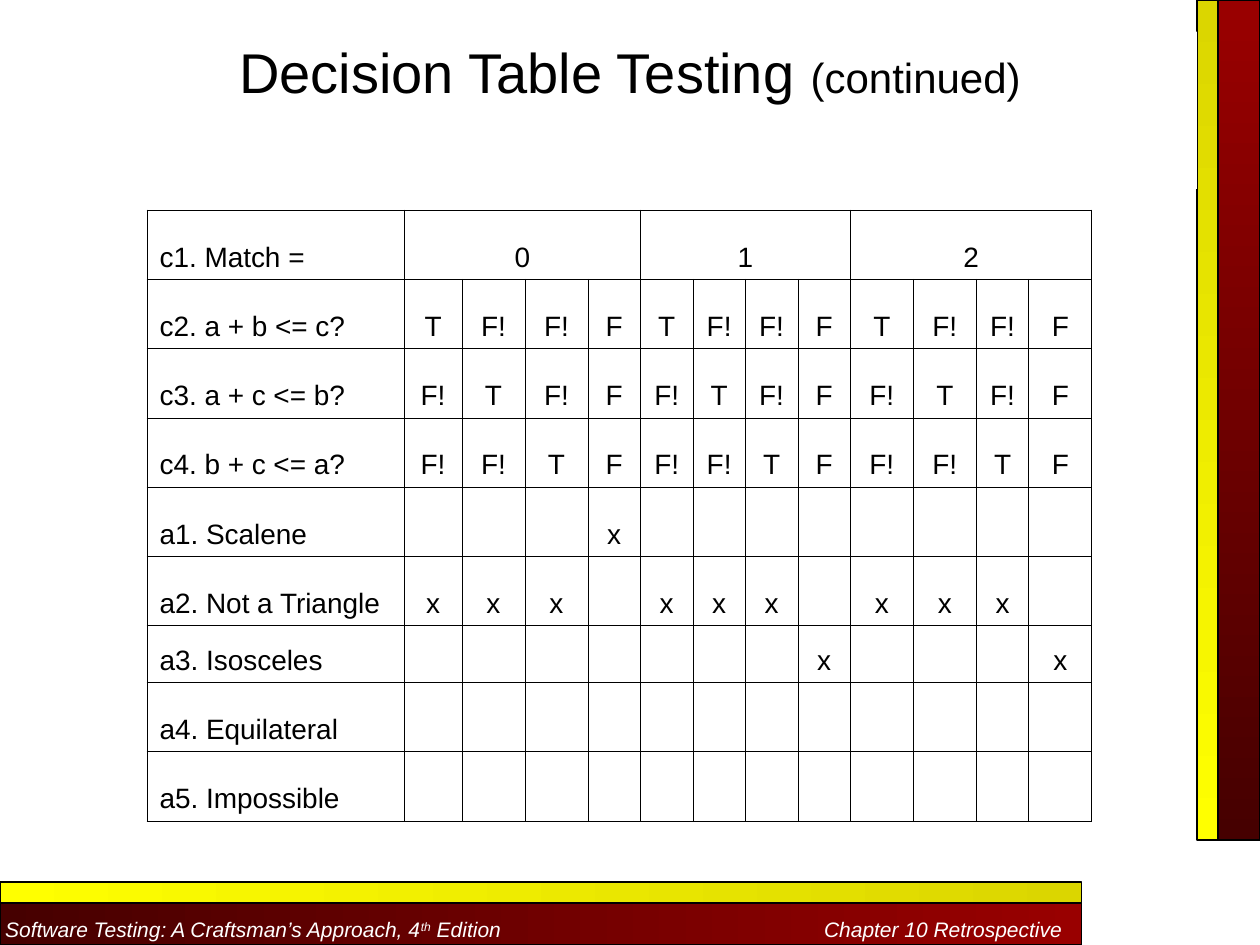
import pptx
import pptx.util
import pptx.dml.color
import pptx.enum.shapes
import pptx.enum.text
import pptx.oxml
import pptx.oxml.ns

Pt = pptx.util.Pt
ALIGN = pptx.enum.text.PP_ALIGN
ANCHOR = pptx.enum.text.MSO_ANCHOR

COLORS = {"black": "000000", "white": "FFFFFF", "red": "990000", "dark red": "460000",
          "olive": "DBD600", "yellow": "FFFF00"}
FONT = "Arial"

TITLE = [("Decision Table Testing ", {"size": 32}), ("(continued)", {"size": 24})]
FOOTER = [("Software Testing: A Craftsman’s Approach, 4", {}), ("th", {"raised": True}),
          (" Edition\tChapter 10 Retrospective", {})]

MATCHES = ["0", "1", "2"]
RULES_PER_MATCH = 4
# Row label, then one entry per rule
ROWS = [
    ("c2. a + b <= c?", ["T", "F!", "F!", "F"] * 3),
    ("c3. a + c <= b?", ["F!", "T", "F!", "F"] * 3),
    ("c4. b + c <= a?", ["F!", "F!", "T", "F"] * 3),
    ("a1. Scalene", ["", "", "", "x"] + [""] * 8),
    ("a2. Not a Triangle", ["x", "x", "x", ""] * 3),
    ("a3. Isosceles", [""] * 7 + ["x", "", "", "", "x"]),
    ("a4. Equilateral", [""] * 12),
    ("a5. Impossible", [""] * 12),
]
COLUMN_WIDTHS = [147, 33, 36, 36, 30, 30, 30, 30, 30, 36, 36, 30, 36]
ROW_HEIGHTS = [39.6] * 6 + [32.4] + [39.6] * 2

# Left, top, width, height, gradient colours, gradient angle
SIDE_BAR = (696, 0, 24, 480, ("red", "dark red"), 270)
FOOTER_BAR = (0, 516, 618, 24, ("red", "dark red"), 180)
SIDE_STRIPE = (684, 0, 12, 480, ("olive", "yellow"), 270)
FOOTER_STRIPE = (0, 504, 618, 12, ("olive", "yellow"), 180)


def rgb(name):
    return pptx.dml.color.RGBColor.from_string(COLORS[name])


def write(paragraph, text, size=16, color="black", italic=False, raised=False, align=None):
    run = paragraph.add_run()
    run.text = text
    run.font.name = FONT
    run.font.size = Pt(size)
    run.font.italic = italic
    run.font.color.rgb = rgb(color)
    if raised:
        run._r.get_or_add_rPr().set("baseline", "30000")
    if align is not None:
        paragraph.alignment = align


def add_bar(slide, left, top, width, height, gradient, angle):
    bar = slide.shapes.add_shape(pptx.enum.shapes.MSO_SHAPE.RECTANGLE,
                                 Pt(left), Pt(top), Pt(width), Pt(height))
    bar.shadow.inherit = False
    bar.fill.gradient()
    bar.fill.gradient_angle = angle
    for stop, name in zip(bar.fill.gradient_stops, gradient):
        stop.color.rgb = rgb(name)
    bar.line.color.rgb = rgb("black")
    bar.line.width = Pt(0.75)
    return bar


def write_footer(bar):
    frame = bar.text_frame
    frame.margin_left, frame.margin_right = Pt(3), Pt(0)
    frame.margin_top, frame.margin_bottom = Pt(6), Pt(0)
    frame.vertical_anchor = ANCHOR.MIDDLE
    frame.word_wrap = True
    paragraph = frame.paragraphs[0]
    for text, style in FOOTER:
        write(paragraph, text, size=12, color="white", italic=True, align=ALIGN.LEFT, **style)
    paragraph._p.get_or_add_pPr().append(pptx.oxml.parse_xml(
        f'<a:tabLst {pptx.oxml.ns.nsdecls("a")}>'
        f'<a:tab pos="{Pt(604)}" algn="r"/></a:tabLst>'))


def place_title(title):
    title.left, title.top, title.width, title.height = Pt(36), Pt(18), Pt(648), Pt(90)
    title.fill.solid()
    title.fill.fore_color.rgb = rgb("white")
    frame = title.text_frame
    frame.vertical_anchor = ANCHOR.TOP
    frame.auto_size = pptx.enum.text.MSO_AUTO_SIZE.NONE
    for text, style in TITLE:
        write(frame.paragraphs[0], text, align=ALIGN.CENTER, **style)


def draw_borders(cell):
    properties = cell._tc.get_or_add_tcPr()
    for index, side in enumerate(("lnL", "lnR", "lnT", "lnB")):
        properties.insert(index, pptx.oxml.parse_xml(
            f'<a:{side} {pptx.oxml.ns.nsdecls("a")} w="{Pt(0.45)}"><a:solidFill>'
            f'<a:srgbClr val="{COLORS["black"]}"/></a:solidFill></a:{side}>'))


def add_decision_table(slide):
    match_row = [""] * (len(MATCHES) * RULES_PER_MATCH)
    match_row[::RULES_PER_MATCH] = MATCHES
    rows = [("c1. Match =", match_row)] + ROWS
    table = slide.shapes.add_table(len(rows), len(COLUMN_WIDTHS), Pt(84), Pt(120),
                                   Pt(sum(COLUMN_WIDTHS)), Pt(sum(ROW_HEIGHTS))).table
    table.first_row = table.horz_banding = False
    for column, width in zip(table.columns, COLUMN_WIDTHS):
        column.width = Pt(width)
    for row, height in zip(table.rows, ROW_HEIGHTS):
        row.height = Pt(height)
    for r, (label, entries) in enumerate(rows):
        for c, text in enumerate([label] + entries):
            cell = table.cell(r, c)
            cell.fill.background()
            cell.vertical_anchor = ANCHOR.BOTTOM
            draw_borders(cell)
            if text:
                write(cell.text_frame.paragraphs[0], text,
                      align=ALIGN.CENTER if c else ALIGN.LEFT)
    for first in range(1, len(COLUMN_WIDTHS), RULES_PER_MATCH):
        table.cell(0, first).merge(table.cell(0, first + RULES_PER_MATCH - 1))


def main():
    deck = pptx.Presentation()
    deck.slide_width, deck.slide_height = Pt(720), Pt(540)
    slide = deck.slides.add_slide(deck.slide_layouts[5])
    add_bar(slide, *SIDE_BAR)
    write_footer(add_bar(slide, *FOOTER_BAR))
    add_bar(slide, *SIDE_STRIPE)
    add_bar(slide, *FOOTER_STRIPE)
    title = slide.shapes.title
    place_title(title)
    slide.shapes._spTree.append(title._element)  # in front of the bars
    add_decision_table(slide)
    deck.save("out.pptx")


if __name__ == "__main__":
    main()
